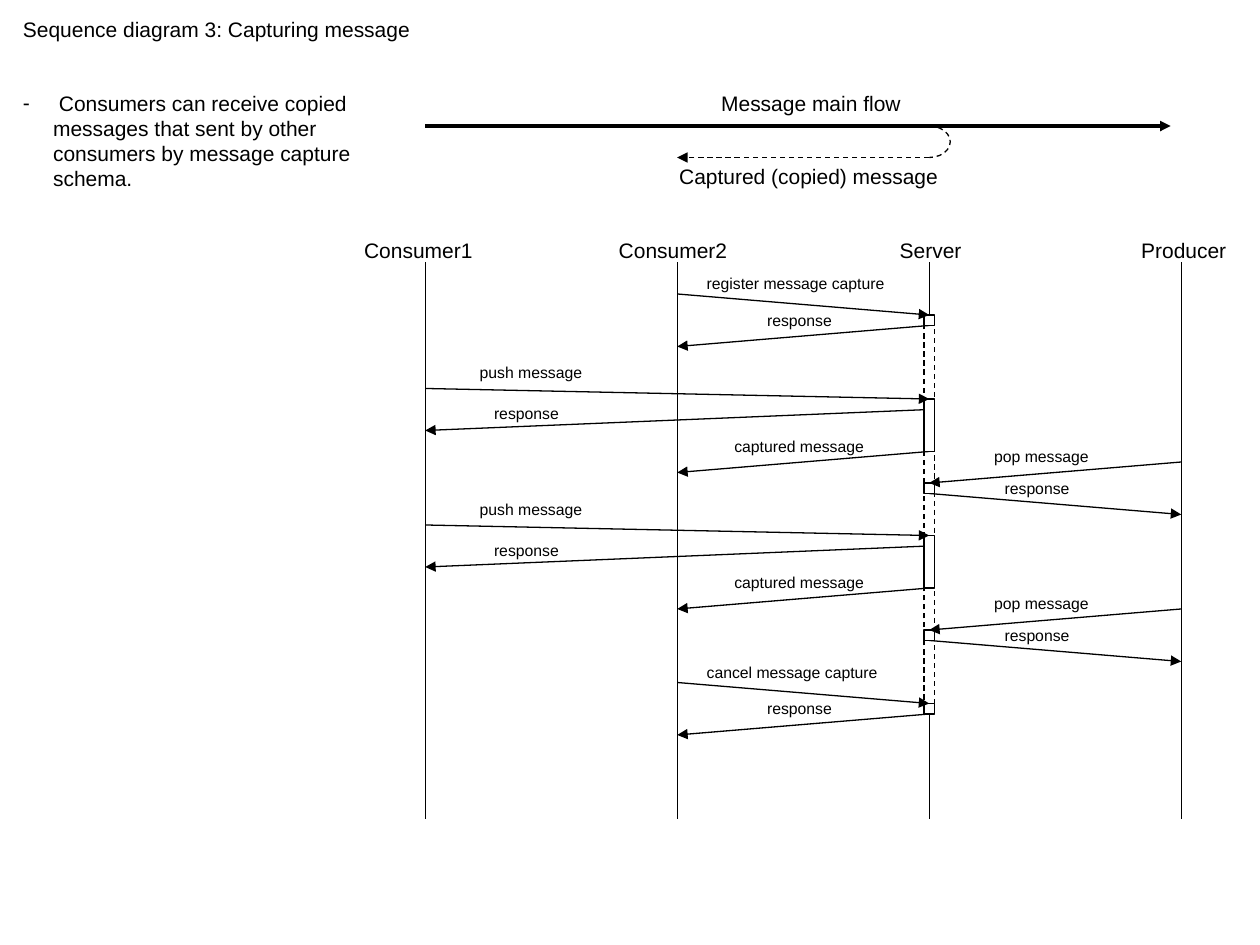
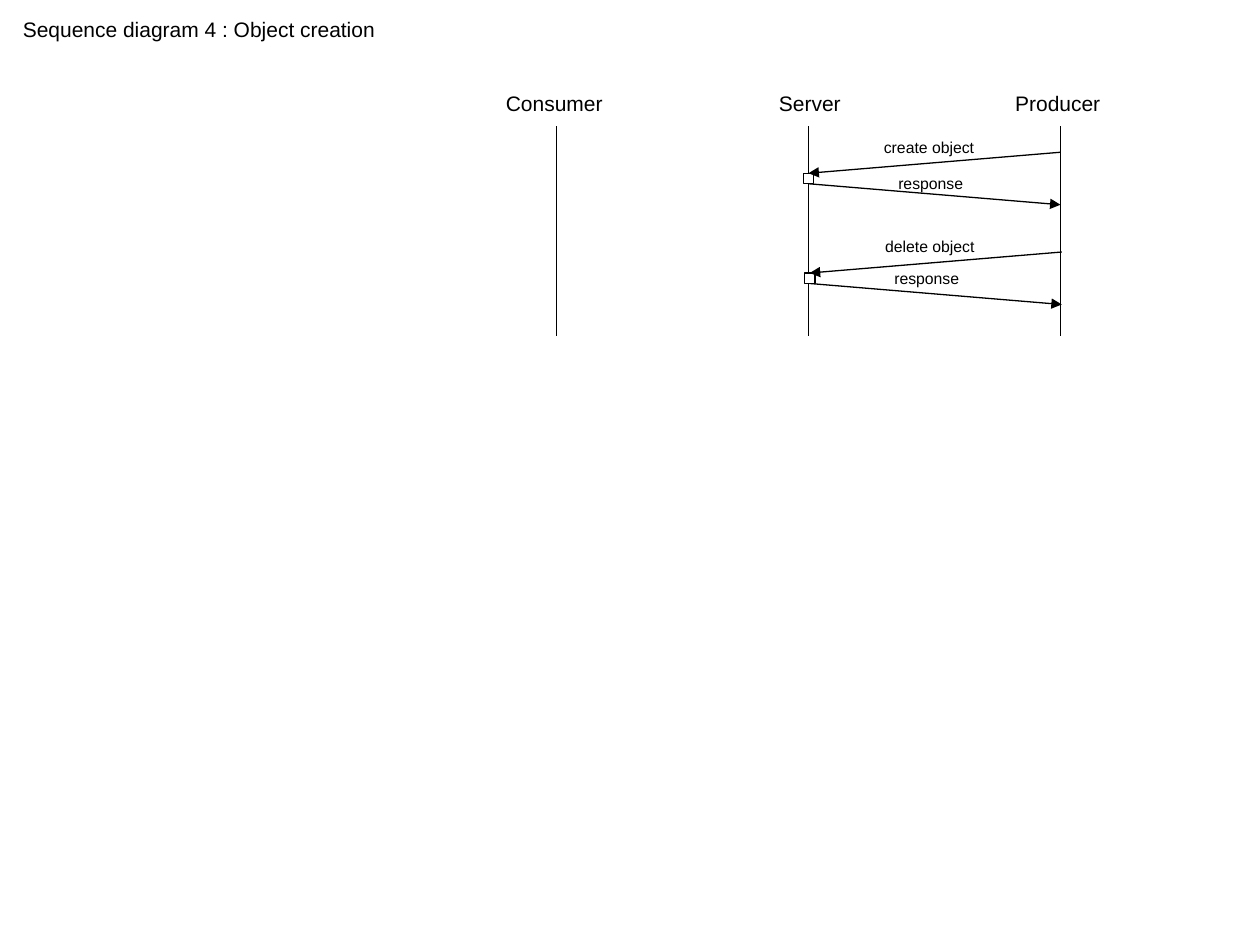
"""Build two slides of sequence diagrams for a message server."""
import dataclasses

import lxml.etree
import pptx
import pptx.dml.color
import pptx.enum.dml
import pptx.enum.shapes
import pptx.enum.text
import pptx.oxml.ns
import pptx.util

SHAPE = pptx.enum.shapes.MSO_SHAPE
qn = pptx.oxml.ns.qn


@dataclasses.dataclass(frozen=True)
class Theme:
    ink: str = "000000"
    paper: str = "FFFFFF"
    font: str = "Arial"
    head: int = 12
    note: int = 9
    thin: float = 0.75
    thick: float = 2
    scale: int = 9525


WIDTHS = {
    "response": 70, "push message": 99, "captured message": 120,
    "register message capture": 157, "cancel message capture": 151,
    "pop message": 93, "create object": 90, "delete object": 90,
    "Consumer": 95, "Consumer1": 104, "Consumer2": 104,
    "Server": 68, "Producer": 86,
}


class Board:
    def __init__(self, deck, theme):
        self.deck = deck
        self.theme = theme
        self.slide = None

    def px(self, *lengths):
        return [pptx.util.Emu(length * self.theme.scale) for length in lengths]

    def tint(self, code):
        return pptx.dml.color.RGBColor.from_string(code)

    def page(self, title, width):
        self.slide = self.deck.slides.add_slide(self.deck.slide_layouts[6])
        self.text(title, 8, 8, width)

    def text(self, words, left, top, width=None, size=None, wrap=False, high=29):
        size = size or self.theme.head
        box = self.slide.shapes.add_textbox(
            *self.px(left, top, width or WIDTHS[words], high))
        frame = box.text_frame
        frame.word_wrap = wrap
        frame.auto_size = pptx.enum.text.MSO_AUTO_SIZE.SHAPE_TO_FIT_TEXT
        run = frame.paragraphs[0].add_run()
        run.text = words
        run.font.size = pptx.util.Pt(size)
        run.font.name = self.theme.font
        run.font.color.rgb = self.tint(self.theme.ink)
        return box

    def label(self, words, left, top):
        self.text(words, left, top, size=self.theme.note, high=24)

    def bullet(self, words, left, top, width, high, hang):
        box = self.text(words, left, top, width, wrap=True, high=high)
        para = box.element.find(".//" + qn("a:p")).get_or_add_pPr()
        inset, = self.px(hang)
        para.set("marL", str(inset))
        para.set("indent", str(-inset))
        lxml.etree.SubElement(para, qn("a:buFont"), typeface=self.theme.font)
        lxml.etree.SubElement(para, qn("a:buChar"), char="-")

    def pen(self, line, width=None, dash=False):
        line.color.rgb = self.tint(self.theme.ink)
        line.width = pptx.util.Pt(width or self.theme.thin)
        if dash:
            line.dash_style = pptx.enum.dml.MSO_LINE.DASH

    def line(self, start, end, arrow=True, width=None, dash=False):
        link = self.slide.shapes.add_connector(
            pptx.enum.shapes.MSO_CONNECTOR.STRAIGHT, *self.px(*start, *end))
        self.pen(link.line, width, dash)
        props = link.element.spPr
        if arrow:
            lxml.etree.SubElement(props.find(qn("a:ln")), qn("a:tailEnd"),
                                  type="triangle")
        lxml.etree.SubElement(props, qn("a:effectLst"))

    def shape(self, kind, left, top, width, high, dash=False):
        form = self.slide.shapes.add_shape(kind, *self.px(left, top, width, high))
        form.shadow.inherit = False
        self.pen(form.line, dash=dash)
        return form

    def block(self, hub, top, high, dash=False):
        form = self.shape(SHAPE.RECTANGLE, hub - 4, top, 8, high, dash)
        form.fill.solid()
        form.fill.fore_color.rgb = self.tint(self.theme.paper)

    def bend(self, left, top, width, high):
        curve = self.shape(SHAPE.ARC, left, top, width, high, dash=True)
        curve.fill.background()
        curve.adjustments[1] = 54

    def lanes(self, heads, head_top, top, end):
        for name, left, lane in heads:
            self.text(name, left, head_top)
            self.line((lane, top), (lane, end), arrow=False)

    def trade(self, peer, hub, top, backs, labels, rise=16, high=8):
        for goal, drop in backs:
            self.line((hub, top + drop), (goal, top + drop + 16))
        self.block(hub, top, high)
        self.line((peer, top - rise), (hub, top))
        for words, left, shift in labels:
            self.label(words, left, top + shift)


def capture(board):
    first, second, hub, maker = 324, 516, 708, 900
    board.page("Sequence diagram 3: Capturing message", 320)
    board.bullet(" Consumers can receive copied messages that sent by other "
                 "consumers by message capture schema.", 8, 64, 312, 67, 23)

    board.line((first, 96), (892, 96), width=board.theme.thick)
    board.text("Message main flow", 540, 64, 159)
    board.bend(692, 96, 32, 24)
    board.line((hub, 120), (second, 120), dash=True)
    board.text("Captured (copied) message", 508, 120, 221)

    board.lanes([("Consumer1", 268, first), ("Consumer2", 462, second),
                 ("Server", 676, hub), ("Producer", 860, maker)], 176, 200, 624)
    board.block(hub, 248, 288, dash=True)
    for top, verb in (240, "register"), (536, "cancel"):
        board.trade(second, hub, top, [(second, 8)],
                    [(f"{verb} message capture", 529, -36),
                     ("response", 575, -8)])
    for top in 304, 408:
        board.trade(first, hub, top, [(first, 8), (second, 40)],
                    [("push message", 356, -32), ("response", 367, -1),
                     ("captured message", 550, 24)], rise=8, high=40)
    for top in 368, 480:
        board.trade(maker, hub, top, [(maker, 8)],
                    [("pop message", 748, -32), ("response", 756, -8)])


def create(board):
    board.page("Sequence diagram 4 : Object creation", 292)
    board.lanes([("Consumer", 376, 424), ("Server", 584, 616),
                 ("Producer", 764, 808)], 64, 96, 256)
    board.trade(808, 616, 132, [(808, 8)],
                [("create object", 664, -32), ("response", 675, -4)])
    board.trade(809, 617, 208, [(809, 8)],
                [("delete object", 665, -32), ("response", 672, -8)])


def main():
    deck = pptx.Presentation()
    board = Board(deck, Theme())
    deck.slide_width, deck.slide_height = board.px(960, 720)
    capture(board)
    create(board)
    deck.save("out.pptx")


if __name__ == "__main__":
    main()
